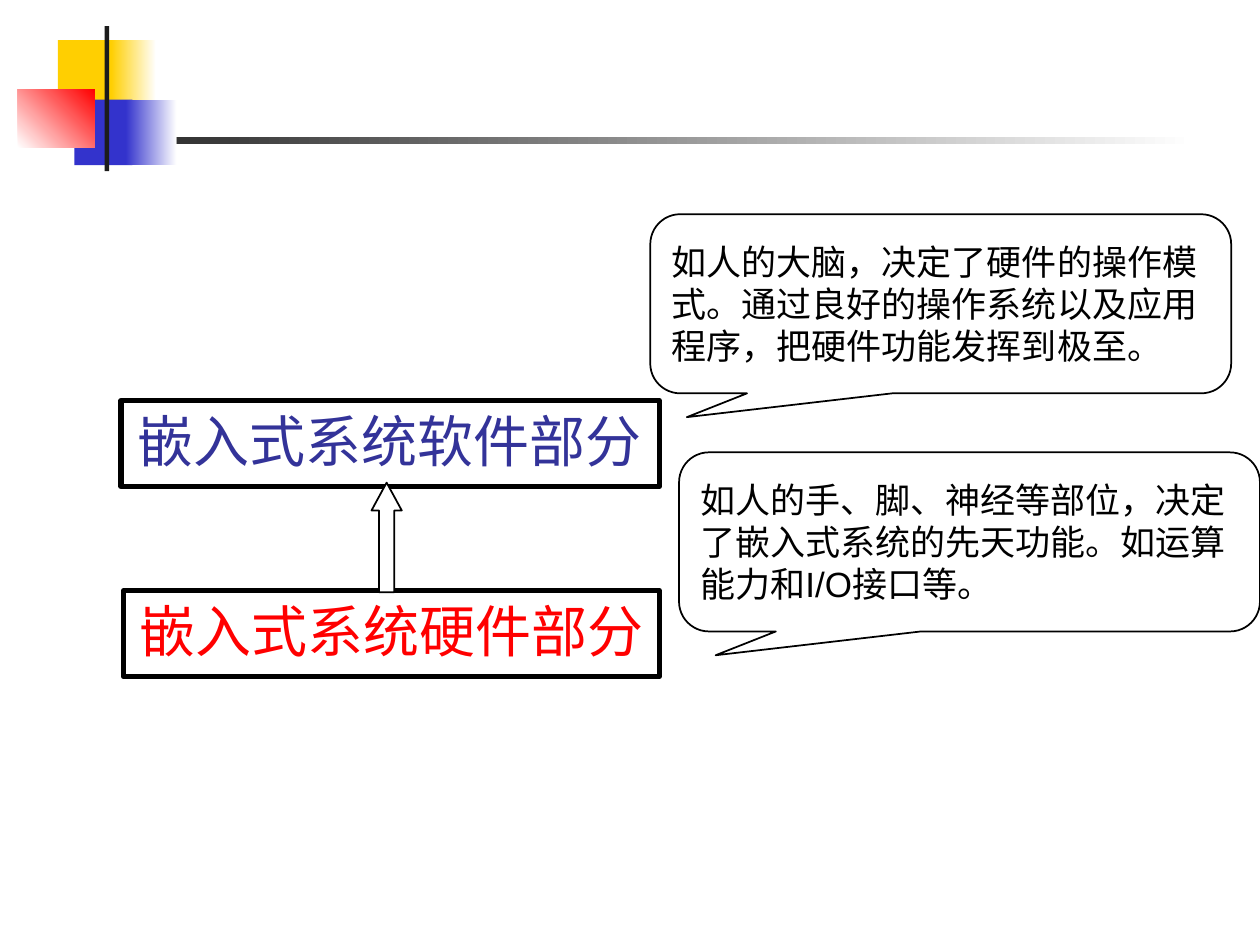
from pptx import Presentation
from pptx import util as u
from pptx.dml.color import RGBColor
from pptx.enum import shapes, text

COLORS = {
    "ink": "1C1C1C", "black": "000000", "white": "FFFFFF",
    "yellow": "FFCF01", "blue": "3333CC", "red": "FF0000", "navy": "333399",
}
KIND = shapes.MSO_SHAPE
FONT = "Arial"


def rgb(name):
    return RGBColor.from_string(COLORS[name])


def add_block(slide, kind, box, fill=None, line_width=None, angle=0):
    """Fill is None, a colour name, or a pair of names for a gradient."""
    block = slide.shapes.add_shape(kind, *(u.Cm(length) for length in box))
    block.shadow.inherit = False
    if fill is None:
        block.fill.background()
    elif isinstance(fill, tuple):
        block.fill.gradient()
        block.fill.gradient_angle = angle
        for stop, name, position in zip(block.fill.gradient_stops, fill, (0, 1)):
            stop.color.rgb = rgb(name)
            stop.position = position
    else:
        block.fill.solid()
        block.fill.fore_color.rgb = rgb(fill)
    if line_width is None:
        block.line.fill.background()
    else:
        block.line.color.rgb = rgb("black")
        block.line.width = u.Pt(line_width)
    return block


def write(block, words, size, color, align, frame_format):
    frame = block.text_frame
    for name, value in frame_format.items():
        setattr(frame, name, value)
    paragraph = frame.paragraphs[0]
    paragraph.alignment = align
    run = paragraph.add_run()
    run.text = words
    for name, value in {"size": u.Pt(size), "name": FONT}.items():
        setattr(run.font, name, value)
    run.font.color.rgb = rgb(color)


def add_ornament(slide, left, top):
    """Rule, overlapping colour squares and upright bar of the template."""
    parts = [
        ((0.86, 2.24, 22.86, 0.13), ("ink", "white"), 0),
        ((0.81, 0.28, 1.22, 1.32), "yellow", 0),
        ((1.88, 0.28, 0.91, 1.32), ("yellow", "white"), 0),
        ((1.14, 1.48, 1.17, 1.32), "blue", 0),
        ((2.18, 1.48, 1.02, 1.32), ("blue", "white"), 0),
        ((0, 1.27, 1.55, 1.17), ("white", "red"), 45),
        ((1.75, 0, 0.09, 2.92), "ink", 0),
    ]
    for (x, y, width, height), fill, angle in parts:
        add_block(slide, KIND.RECTANGLE, (left + x, top + y, width, height),
                  fill, angle=angle)


def add_layer(slide, box, label, color):
    layer = add_block(slide, KIND.RECTANGLE, box, line_width=3)
    write(layer, label, 32, color, text.PP_ALIGN.CENTER,
          {"word_wrap": False, "vertical_anchor": text.MSO_ANCHOR.TOP,
           "auto_size": text.MSO_AUTO_SIZE.SHAPE_TO_FIT_TEXT})


def add_up_arrow(slide, box):
    arrow = add_block(slide, KIND.UP_ARROW, box, "white", 1)
    arrow.adjustments[0] = 0.5
    arrow.adjustments[1] = 0.92


def add_callout(slide, box, remark):
    callout = add_block(slide, KIND.ROUNDED_RECTANGULAR_CALLOUT, box, "white", 1)
    for index, value in enumerate((-0.437, 0.633, 0.167)):
        callout.adjustments[index] = value
    write(callout, remark, 20, "black", text.PP_ALIGN.LEFT,
          {"word_wrap": True, "vertical_anchor": text.MSO_ANCHOR.MIDDLE})


def main():
    deck = Presentation()
    deck.slide_width, deck.slide_height = u.Cm(25.4), u.Cm(19.05)
    slide = deck.slides.add_slide(deck.slide_layouts[6])

    add_ornament(slide, 0.36, 0.53)
    add_layer(slide, (2.49, 11.91, 10.8, 1.73), "嵌入式系统硬件部分", "red")
    add_layer(slide, (2.44, 8.08, 10.85, 1.73), "嵌入式系统软件部分", "navy")
    add_up_arrow(slide, (7.49, 9.73, 0.61, 2.21))
    add_callout(slide, (13.11, 4.32, 11.71, 3.61),
                "如人的大脑，决定了硬件的操作模式。通过良好的操作系统以及应用程序，"
                "把硬件功能发挥到极至。")
    add_callout(slide, (13.69, 9.12, 11.71, 3.61),
                "如人的手、脚、神经等部位，决定了嵌入式系统的先天功能。"
                "如运算能力和I/O接口等。")
    deck.save("out.pptx")


if __name__ == "__main__":
    main()
